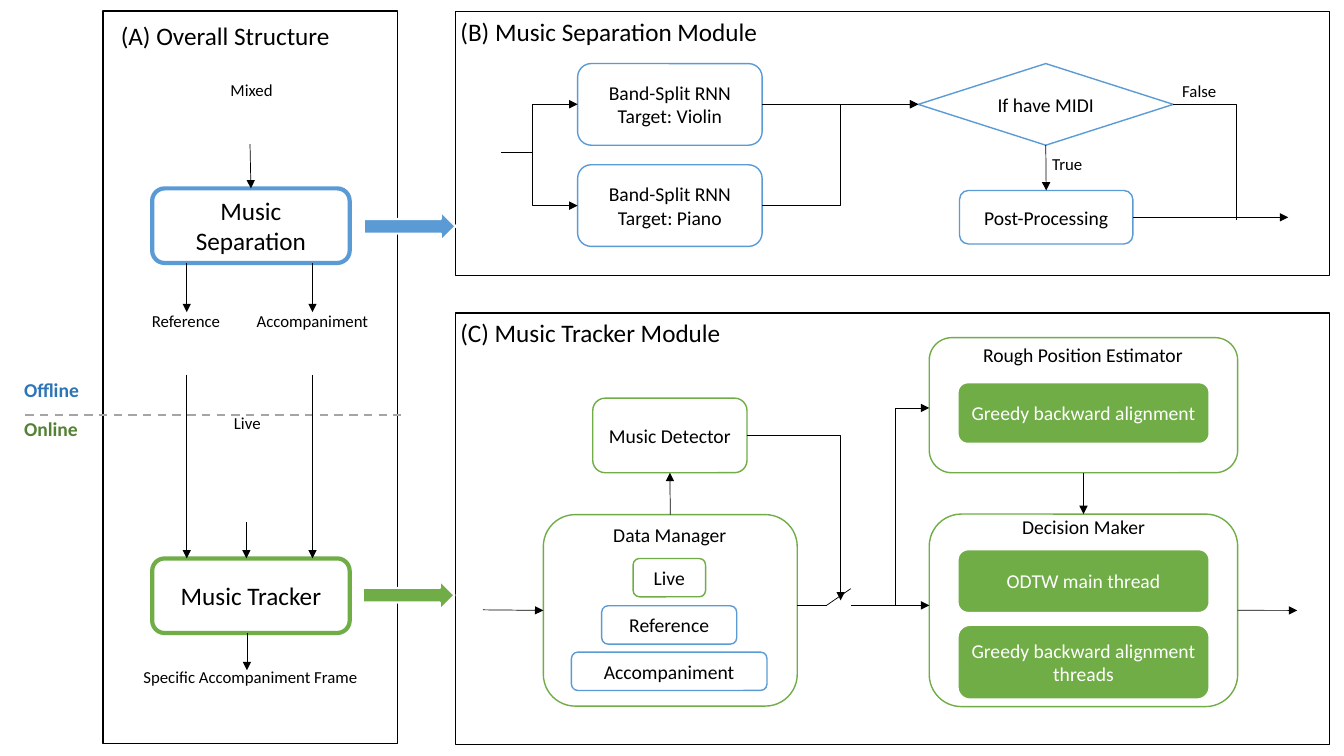
from lxml import etree
from pptx import Presentation
from pptx.dml.color import RGBColor
from pptx.enum.dml import MSO_LINE
from pptx.enum.shapes import MSO_CONNECTOR, MSO_SHAPE
from pptx.enum.text import MSO_ANCHOR, MSO_AUTO_SIZE, PP_ALIGN
from pptx.oxml.ns import qn
from pptx.util import Pt

RECT, ROUND = MSO_SHAPE.RECTANGLE, MSO_SHAPE.ROUNDED_RECTANGLE
DIAMOND, BLOCK_ARROW = MSO_SHAPE.DIAMOND, MSO_SHAPE.RIGHT_ARROW
STRAIGHT, ELBOW = MSO_CONNECTOR.STRAIGHT, MSO_CONNECTOR.ELBOW
LEFT, CENTER = PP_ALIGN.LEFT, PP_ALIGN.CENTER
MIDDLE, GROW, DASH = MSO_ANCHOR.MIDDLE, MSO_AUTO_SIZE.SHAPE_TO_FIT_TEXT, MSO_LINE.DASH

BLACK = RGBColor(0x00, 0x00, 0x00)
WHITE = RGBColor(0xFF, 0xFF, 0xFF)
GREY = RGBColor(0xA5, 0xA5, 0xA5)
BLUE = RGBColor(0x5B, 0x9B, 0xD5)
GREEN = RGBColor(0x70, 0xAD, 0x47)
DARK_BLUE = RGBColor(0x2E, 0x75, 0xB6)
DARK_GREEN = RGBColor(0x54, 0x82, 0x35)

deck = Presentation()
deck.slide_width, deck.slide_height = Pt(960), Pt(540)
page = deck.slides.add_slide(deck.slide_layouts[6])


def write_text(box, text, align, frame_format, font_format):
    box.text_frame.text = text
    for key, value in frame_format.items():
        setattr(box.text_frame, key, value)
    for para in box.text_frame.paragraphs:
        para.alignment = align
        for key, value in font_format.items():
            setattr(para.font, key, value)
        para.font.color.rgb = font_format_colour[box.shape_id]


def draw_line(kind, start, end, colour=BLACK, width=0.5):
    line = page.shapes.add_connector(kind, *(Pt(value) for value in start + end))
    line.line.color.rgb = colour
    line.line.width = Pt(width)
    etree.SubElement(line.element.spPr, qn("a:effectLst"))
    return line


font_format_colour = {}
boxes = {}
for name, kind, place, fill, outline, width, text, size in [
    ("overall", RECT, (73.6, 7.9, 210.2, 523.4), WHITE, BLACK, 1, "", 14),
    ("separation module", RECT, (325.6, 8.3, 624.2, 188.6), WHITE, BLACK, 1, "", 14),
    ("tracker module", RECT, (325.6, 223.6, 624.2, 308.2), WHITE, BLACK, 1, "", 14),
    ("separation", ROUND, (108.7, 134.6, 141.1, 53.3), WHITE, BLUE, 3, "Music Separation", 18),
    ("tracker", ROUND, (108.7, 398.9, 141.1, 53.3), WHITE, GREEN, 3, "Music Tracker", 18),
    ("to separation", BLOCK_ARROW, (259.9, 151.2, 65.5, 20.9), BLUE, WHITE, 1.5, "", 14),
    ("to tracker", BLOCK_ARROW, (259.2, 414.7, 65.5, 20.9), GREEN, WHITE, 1.5, "", 14),
    ("detector", ROUND, (423.4, 284.4, 110.2, 53.3), WHITE, GREEN, 1, "Music Detector", 14),
    ("decision", ROUND, (663.8, 367.2, 220.3, 137.5), WHITE, GREEN, 1, "", 14),
    ("main thread", ROUND, (684, 392.4, 180, 45.4), GREEN, WHITE, 1.5, "ODTW main thread", 14),
    ("backward threads", ROUND, (684, 446.4, 180, 53.3), GREEN, WHITE, 1.5,
     "Greedy backward alignment threads", 14),
    ("manager", ROUND, (388.1, 367.6, 181.4, 136.8), WHITE, GREEN, 1, "", 14),
    ("live", ROUND, (452.2, 398.9, 51.8, 27.4), WHITE, GREEN, 1, "Live", 14),
    ("reference", ROUND, (429.8, 432.7, 96.5, 27.4), WHITE, BLUE, 1, "Reference", 14),
    ("accompaniment", ROUND, (408.2, 465.8, 139.7, 27.4), WHITE, BLUE, 1, "Accompaniment", 14),
    ("estimator", ROUND, (663.8, 241.2, 220.3, 96.5), WHITE, GREEN, 1, "", 14),
    ("backward", ROUND, (684, 273.1, 180, 43.9), GREEN, WHITE, 1.5, "Greedy backward alignment", 14),
    ("violin", ROUND, (412.6, 45.4, 131.8, 58.3), WHITE, BLUE, 1,
     "Band-Split RNN\nTarget: Violin", 14),
    ("piano", ROUND, (412.6, 117.7, 131.8, 58.3), WHITE, BLUE, 1,
     "Band-Split RNN\nTarget: Piano", 14),
    ("post", ROUND, (685.4, 136.1, 123.8, 38.2), WHITE, BLUE, 1, "Post-Processing", 14),
    ("midi", DIAMOND, (655.9, 45.4, 182.2, 58.3), WHITE, BLUE, 1, "If have MIDI", 14),
]:
    box = page.shapes.add_shape(kind, *(Pt(value) for value in place))
    box.shadow.inherit = False
    box.fill.solid()
    box.fill.fore_color.rgb = fill
    box.line.color.rgb = outline
    box.line.width = Pt(width)
    boxes[name] = box
    if text:
        margin = Pt(7.2 if size == 18 else 3.6)
        font_format_colour[box.shape_id] = WHITE if fill == GREEN else BLACK
        write_text(box, text, CENTER,
                   {"word_wrap": True, "vertical_anchor": MIDDLE,
                    "margin_left": margin, "margin_right": margin},
                   {"name": "Calibri", "size": Pt(size), "bold": False})

for text, place, size, align, colour in [
    ("(A) Overall Structure", (79.2, 10.8, 201.6, 31.7), 18, LEFT, BLACK),
    ("(B) Music Separation Module", (321.8, 7.9, 298.8, 31.7), 18, LEFT, BLACK),
    ("(C) Music Tracker Module", (321.8, 223.2, 263.5, 31.7), 18, LEFT, BLACK),
    ("Mixed", (157, 53.3, 45.4, 21.6), 12, CENTER, BLACK),
    ("Live", (159.8, 291.6, 33.8, 21.6), 12, CENTER, BLACK),
    ("Reference", (100.8, 218.2, 64.1, 21.6), 12, CENTER, BLACK),
    ("Accompaniment", (175.7, 218.2, 95, 21.6), 12, CENTER, BLACK),
    ("Specific Accompaniment Frame", (94.3, 473, 169.2, 21.6), 12, CENTER, BLACK),
    ("Offline", (10.1, 266.4, 67, 26.6), 14, LEFT, DARK_BLUE),
    ("Online", (10.1, 294.5, 64.8, 26.6), 14, LEFT, DARK_GREEN),
    ("Decision Maker", (709.9, 364.3, 128.2, 26.6), 14, CENTER, BLACK),
    ("Data Manager", (417.6, 370.1, 121.7, 26.6), 14, CENTER, BLACK),
    ("Rough Position Estimator", (692.6, 241.2, 162, 26.6), 14, CENTER, BLACK),
    ("True", (744.5, 106.6, 36, 21.6), 12, LEFT, BLACK),
    ("False", (837.4, 54, 38.9, 21.6), 12, LEFT, BLACK),
]:
    box = page.shapes.add_textbox(*(Pt(value) for value in place))
    font_format_colour[box.shape_id] = colour
    write_text(box, text, align, {"word_wrap": False, "auto_size": GROW},
               {"name": "Calibri", "size": Pt(size), "bold": colour != BLACK})

border = draw_line(STRAIGHT, (18, 296.3), (286.6, 296.3), GREY, 1.5)
border.line.dash_style = DASH

for start, end, begin_join, end_join, arrow in [
    ((178.6, 103), (179.2, 134.6), None, ("separation", 0), "a:tailEnd"),
    ((133.4, 187.9), (133.4, 223), None, None, "a:tailEnd"),
    ((223.2, 187.9), (223.2, 223), None, None, "a:tailEnd"),
    ((133.4, 267.8), (133.4, 398.9), None, None, "a:tailEnd"),
    ((223.2, 267.8), (223.2, 398.9), None, None, "a:tailEnd"),
    ((176, 373), (176, 398.9), None, None, "a:tailEnd"),
    ((176.4, 452.2), (176.4, 478.8), None, None, "a:tailEnd"),
    ((344.9, 435.6), (388.1, 436), None, ("manager", 1), "a:tailEnd"),
    ((478.8, 367.6), (478.5, 337.7), ("manager", 0), ("detector", 2), "a:tailEnd"),
    ((774, 337.7), (774, 367.2), ("estimator", 2), ("decision", 0), "a:tailEnd"),
    ((569.5, 432.4), (590.4, 432.4), None, None, None),
    ((590.4, 432.4), (607.7, 420.5), None, None, None),
    ((607.7, 432.4), (663.8, 432.4), None, None, "a:tailEnd"),
    ((884.1, 436), (926.6, 436), ("decision", 3), None, "a:tailEnd"),
    ((809.2, 155.2), (920.2, 155.2), ("post", 3), None, "a:tailEnd"),
    ((544.4, 74.5), (655.9, 74.5), ("violin", 3), ("midi", 1), "a:tailEnd"),
    ((747, 103.7), (747.3, 136.1), ("midi", 2), ("post", 0), "a:tailEnd"),
]:
    line = draw_line(STRAIGHT, start, end)
    if begin_join:
        line.begin_connect(boxes[begin_join[0]], begin_join[1])
    if end_join:
        line.end_connect(boxes[end_join[0]], end_join[1])
    if arrow:
        etree.SubElement(line.element.spPr.find(qn("a:ln")), qn(arrow), type="triangle")

for start, end, preset, bend, arrow in [
    ((533.6, 311), (600.5, 428.9), "bentConnector2", None, "a:tailEnd"),
    ((663.8, 291.4), (639.7, 432.4), "bentConnector2", None, "a:headEnd"),
    ((838.1, 74.5), (883.3, 157), "bentConnector2", None, None),
    ((358, 108.7), (412.6, 74.5), "bentConnector3", 41500, "a:tailEnd"),
    ((358, 108.7), (412.6, 146.9), "bentConnector3", 41500, "a:tailEnd"),
    ((544.4, 146.9), (655.9, 74.5), "bentConnector3", 50000, "a:tailEnd"),
]:
    line = draw_line(ELBOW, start, end)
    geometry = line.element.spPr.find(qn("a:prstGeom"))
    geometry.set("prst", preset)
    if bend:
        guides = geometry.find(qn("a:avLst"))
        etree.SubElement(guides, qn("a:gd"), name="adj1", fmla=f"val {bend}")
    if arrow:
        etree.SubElement(line.element.spPr.find(qn("a:ln")), qn(arrow), type="triangle")

deck.save("out.pptx")
